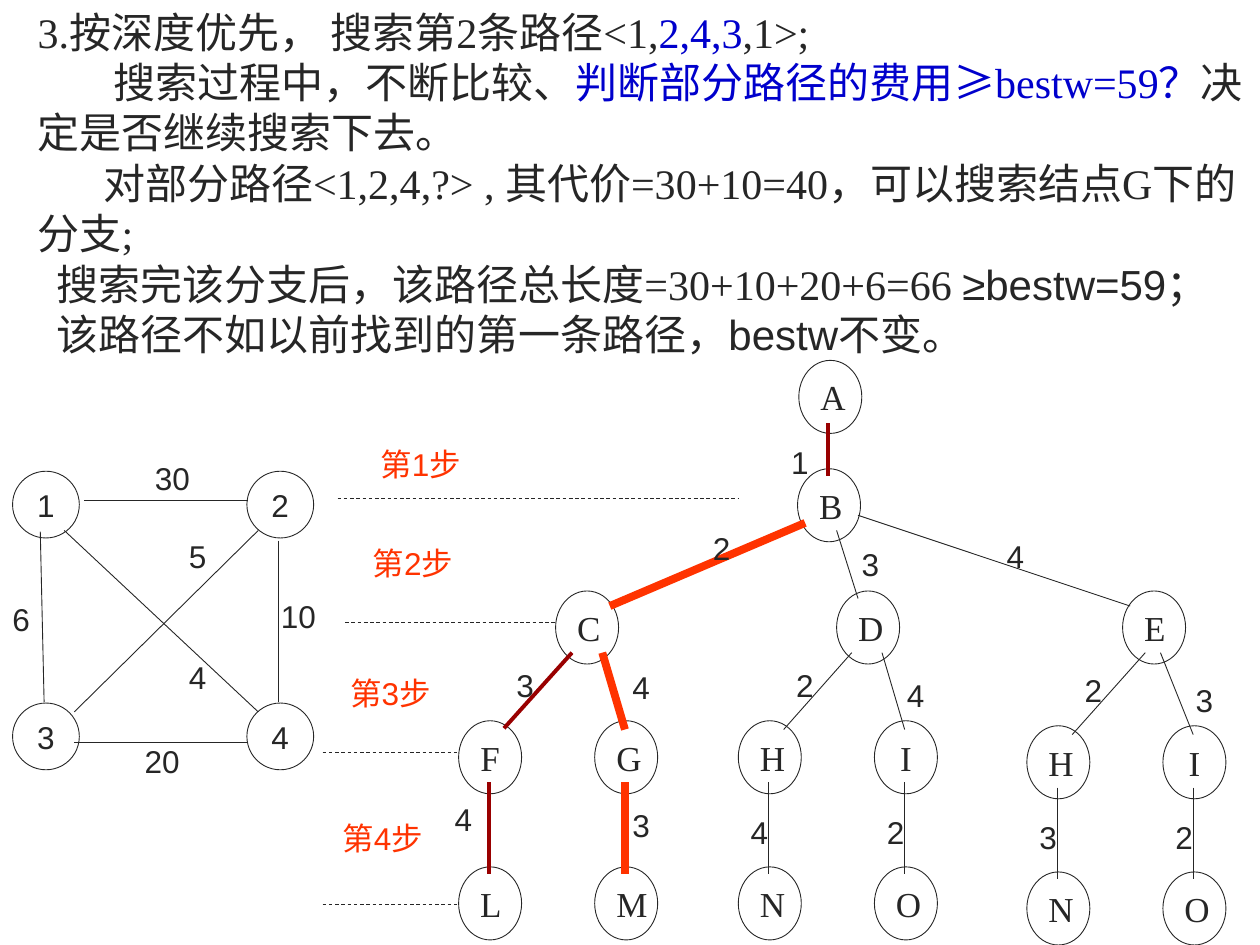
import pptx
import pptx.dml.color
import pptx.enum.dml
import pptx.enum.shapes
import pptx.enum.text
import pptx.oxml.ns
import pptx.util
from lxml import etree

Inches = pptx.util.Inches
INK, BLUE, ORANGE, MAROON = "262626", "0000CC", "FF3300", "990000"
SERIF, SANS = "Times New Roman", "Arial"

EXPLANATION = [
    (0, [("3.按深度优先， 搜索第2条路径<1,", SERIF, INK), ("2,4,3", SERIF, BLUE),
         (",1>;", SERIF, INK)]),
    (0.6, [("搜索过程中，不断比较、", SERIF, INK), ("判断部分路径的费用", SERIF, BLUE),
           ("≥", SANS, BLUE), ("bestw=59？", SERIF, BLUE),
           ("决定是否继续搜索下去。", SERIF, INK)]),
    (0.52, [("对部分路径<1,2,4,?> , 其代价=30+10=40，可以搜索结点G下的分支;", SERIF, INK)]),
    (0.15, [("搜索完该分支后，该路径总长度=30+10+20+6=66 ", SERIF, INK),
            ("≥bestw=59；", SANS, INK)]),
    (0.15, [("该路径不如以前找到的第一条路径，bestw不变。", SANS, INK)]),
]

INNER_NODES = [("A", 6.34, 2.86), ("B", 6.33, 3.72), ("C", 4.41, 4.69),
               ("D", 6.64, 4.69), ("E", 8.91, 4.69)]

LEAF_COLUMNS = [
    (3.64, 5.72, "F", "L", "4", 3.51, 6.3, MAROON, 2.25),
    (4.72, 5.72, "G", "M", "3", 4.92, 6.35, ORANGE, 4.5),
    (5.86, 5.72, "H", "N", "4", 5.86, 6.4, INK, 0.5),
    (6.94, 5.72, "I", "O", "2", 6.94, 6.4, INK, 0.5),
    (8.15, 5.76, "H", "N", "3", 8.15, 6.44, INK, 0.5),
    (9.23, 5.76, "I", "O", "2", 9.23, 6.44, INK, 0.5),
]
LEAF_DROP = 1.16

BRANCHES = [
    ((6.57, 3.36), (6.57, 3.78), "1", (6.18, 3.47), MAROON, 2.25),
    ((6.39, 4.15), (4.84, 4.81), "2", (5.56, 4.15), ORANGE, 4.5),
    ((6.64, 4.21), (6.81, 4.75), "3", (6.74, 4.28), INK, 0.5),
    ((6.81, 4.09), (8.97, 4.81), "4", (7.89, 4.21), INK, 0.5),
    ((4.54, 5.18), (4, 5.78), "3", (4, 5.24), MAROON, 2.25),
    ((4.78, 5.18), (4.96, 5.79), "4", (4.92, 5.25), ORANGE, 4.5),
    ((6.76, 5.18), (6.22, 5.79), "2", (6.22, 5.24), INK, 0.5),
    ((7, 5.18), (7.18, 5.79), "4", (7.1, 5.32), INK, 0.5),
    ((9.09, 5.18), (8.51, 5.83), "2", (8.51, 5.28), INK, 0.5),
    ((9.21, 5.18), (9.47, 5.83), "3", (9.39, 5.36), INK, 0.5),
]

STEPS = [
    ((2.68, 3.96), 5.86, (2.92, 3.48)),
    ((2.74, 4.94), 4.42, (2.86, 4.27)),
    ((2.56, 5.97), 3.64, (2.68, 5.3)),
    ((2.56, 7.18), 3.64, (2.62, 6.45)),
]

GRAPH_NODES = [("1", 0.1, 3.74), ("2", 1.96, 3.74), ("3", 0.1, 5.58), ("4", 1.96, 5.58)]

GRAPH_EDGES = [
    ((0.67, 3.97), (1.97, 3.97), "30", (1.13, 3.59)),
    ((0.32, 4.22), (0.35, 5.57), "6", (0, 4.71)),
    ((0.59, 5.89), (1.97, 5.89), "20", (1.05, 5.84)),
    ((2.21, 4.29), (2.21, 5.57), "10", (2.13, 4.69)),
    ((0.59, 5.65), (2.05, 4.21), "5", (1.4, 4.21)),
    ((0.51, 4.21), (2.05, 5.65), "4", (1.4, 5.17)),
]


def rgb(value):
    return pptx.dml.color.RGBColor.from_string(value)


def add_span(para, text, size, font, colour):
    span = para.add_run()
    span.text = text
    span.font.size = pptx.util.Pt(size)
    span.font.name = font
    span.font.color.rgb = rgb(colour)


def add_explanation(shapes):
    box = shapes.add_textbox(Inches(0.2), 0, Inches(9.8), Inches(2.9))
    frame = box.text_frame
    frame.word_wrap = True
    for index, (indent, spans) in enumerate(EXPLANATION):
        para = frame.add_paragraph() if index else frame.paragraphs[0]
        para._p.get_or_add_pPr().set("indent", str(Inches(indent)))
        for text, font, colour in spans:
            add_span(para, text, 24, font, colour)


def add_label(shapes, text, place, width=0.34, colour=INK, wrap=False):
    left, top = place
    box = shapes.add_textbox(Inches(left), Inches(top), Inches(width), Inches(0.4))
    box.text_frame.word_wrap = wrap
    add_span(box.text_frame.paragraphs[0], text, 18, SANS, colour)


def add_node(shapes, text, left, top, width=0.5, height=0.58, size=20, font=SERIF):
    node = shapes.add_shape(pptx.enum.shapes.MSO_SHAPE.OVAL, Inches(left), Inches(top),
                            Inches(width), Inches(height))
    node.shadow.inherit = False
    node.fill.background()
    node.line.color.rgb = rgb(INK)
    node.line.width = pptx.util.Pt(0.5)
    node.text_frame.vertical_anchor = pptx.enum.text.MSO_ANCHOR.MIDDLE
    para = node.text_frame.paragraphs[0]
    para.alignment = pptx.enum.text.PP_ALIGN.CENTER
    add_span(para, text, size, font, INK)


def add_edge(shapes, start, end, colour=INK, width=0.5, dashed=False):
    points = [Inches(value) for value in (*start, *end)]
    edge = shapes.add_connector(pptx.enum.shapes.MSO_CONNECTOR.STRAIGHT, *points)
    edge.line.color.rgb = rgb(colour)
    edge.line.width = pptx.util.Pt(width)
    if dashed:
        edge.line.dash_style = pptx.enum.dml.MSO_LINE.DASH
    etree.SubElement(edge._element.spPr, pptx.oxml.ns.qn("a:effectLst"))


def add_search_tree(shapes):
    for name, left, top in INNER_NODES:
        add_node(shapes, name, left, top)
    for left, top, upper, lower, cost, cost_left, cost_top, colour, width in LEAF_COLUMNS:
        add_node(shapes, upper, left, top)
        add_node(shapes, lower, left, top + LEAF_DROP)
        middle = left + 0.24
        add_edge(shapes, (middle, top + 0.49), (middle, top + 1.22), colour, width)
        add_label(shapes, cost, (cost_left, cost_top))
    for start, end, choice, place, colour, width in BRANCHES:
        add_edge(shapes, start, end, colour, width)
        add_label(shapes, choice, place)


def add_steps(shapes):
    for number, (start, right, place) in enumerate(STEPS, 1):
        add_edge(shapes, start, (right, start[1]), dashed=True)
        add_label(shapes, f"第{number}步", place, 0.84, ORANGE, wrap=True)


def add_weighted_graph(shapes):
    for name, left, top in GRAPH_NODES:
        add_node(shapes, name, left, top, 0.53, 0.53, 18, SANS)
    for start, end, weight, place in GRAPH_EDGES:
        add_edge(shapes, start, end)
        add_label(shapes, weight, place, 0.2 + 0.14 * len(weight))


def main():
    deck = pptx.Presentation()
    deck.slide_width, deck.slide_height = Inches(10), Inches(7.5)
    page = deck.slides.add_slide(deck.slide_layouts[6])
    add_explanation(page.shapes)
    tree = page.shapes.add_group_shape()
    add_search_tree(tree.shapes)
    add_steps(tree.shapes)
    graph = page.shapes.add_group_shape()
    add_weighted_graph(graph.shapes)
    deck.save("out.pptx")


if __name__ == "__main__":
    main()
